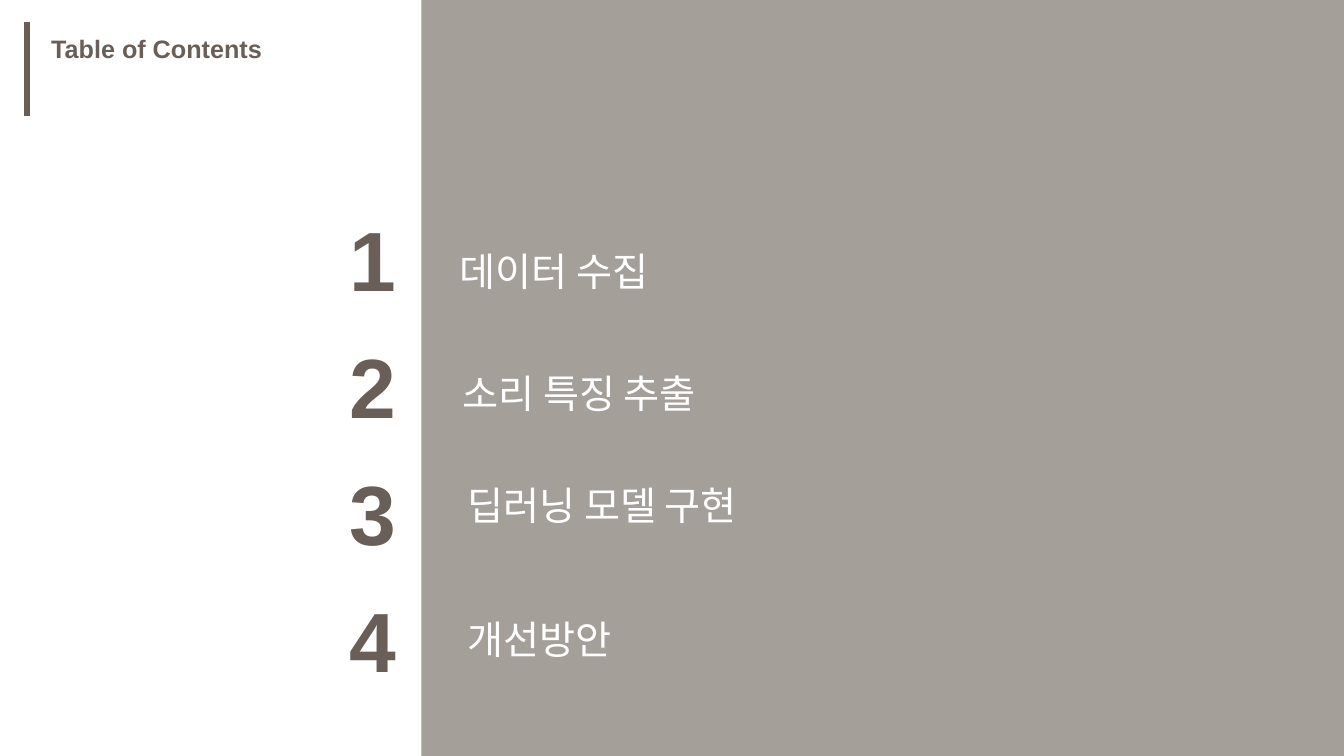
from dataclasses import dataclass

from lxml import etree
from pptx import Presentation
from pptx.dml.color import RGBColor
from pptx.enum.shapes import MSO_CONNECTOR, MSO_SHAPE
from pptx.enum.text import MSO_AUTO_SIZE
from pptx.oxml.ns import qn
from pptx.util import Cm, Pt


@dataclass(frozen=True)
class Theme:
    font: str = "Arial"
    brown: RGBColor = RGBColor(0x6A, 0x5F, 0x58)
    white: RGBColor = RGBColor(0xFF, 0xFF, 0xFF)
    panel_opacity: int = 60  # percent
    heading_size: int = 18
    number_size: int = 60
    topic_size: int = 28
    bar_width: float = 4.5


THEME = Theme()
SLIDE_WIDTH, SLIDE_HEIGHT = 33.87, 19.05  # all lengths in cm

# Topic, with its left and top offset inside its row
TOPICS = [
    ("데이터 수집", 2.77, 0.99),
    ("소리 특징 추출", 2.84, 0.88),
    ("딥러닝 모델 구현", 2.97, 0.5),
    ("개선방안", 2.97, 0.66),
]


def add_text(slide, text, left, top, width, height, *, size, color,
             bold=False, wrap=False):
    box = slide.shapes.add_textbox(Cm(left), Cm(top), Cm(width), Cm(height))
    frame = box.text_frame
    frame.word_wrap = wrap
    frame.auto_size = MSO_AUTO_SIZE.SHAPE_TO_FIT_TEXT
    paragraph = frame.paragraphs[0]
    run = paragraph.add_run()
    run.text = text
    run.font.name = THEME.font
    run.font.size = Pt(size)
    run.font.bold = bold
    run.font.color.rgb = color


def add_panel(slide, left, top, width, height):
    panel = slide.shapes.add_shape(
        MSO_SHAPE.RECTANGLE, Cm(left), Cm(top), Cm(width), Cm(height))
    panel.shadow.inherit = False
    panel.fill.solid()
    panel.fill.fore_color.rgb = THEME.brown
    panel.line.fill.background()
    # Fill transparency
    color = panel.fill._xPr.find(qn("a:solidFill"))[0]
    alpha = etree.SubElement(color, qn("a:alpha"))
    alpha.set("val", str(THEME.panel_opacity * 1000))


def add_heading(slide, left, top, height):
    # Accent bar
    bar = slide.shapes.add_connector(
        MSO_CONNECTOR.STRAIGHT, Cm(left), Cm(top), Cm(left), Cm(top + height))
    bar.line.color.rgb = THEME.brown
    bar.line.width = Pt(THEME.bar_width)
    etree.SubElement(bar._element.spPr, qn("a:effectLst"))
    # Heading text
    add_text(slide, "Table of Contents", left + 0.35, top + 0.15, 5.82, 0.99,
             size=THEME.heading_size, color=THEME.brown, bold=True)


def add_contents(slide, left, top, row_height):
    for index, (topic, topic_left, topic_top) in enumerate(TOPICS):
        row_top = top + index * row_height
        add_text(slide, str(index + 1), left, row_top, 1.7, 2.78,
                 size=THEME.number_size, color=THEME.brown, bold=True)
        add_text(slide, topic, left + topic_left, row_top + topic_top,
                 9.68, 1.45, size=THEME.topic_size, color=THEME.white,
                 wrap=True)


def build_contents_slide(presentation):
    slide = presentation.slides.add_slide(presentation.slide_layouts[6])
    panel_left = 10.62
    add_panel(slide, panel_left, 0, SLIDE_WIDTH - panel_left, SLIDE_HEIGHT)
    add_heading(slide, left=0.69, top=0.56, height=2.36)
    add_contents(slide, left=8.56, top=5.11, row_height=3.2)


def main():
    presentation = Presentation()
    presentation.slide_width = Cm(SLIDE_WIDTH)
    presentation.slide_height = Cm(SLIDE_HEIGHT)
    build_contents_slide(presentation)
    presentation.save("out.pptx")


if __name__ == "__main__":
    main()
